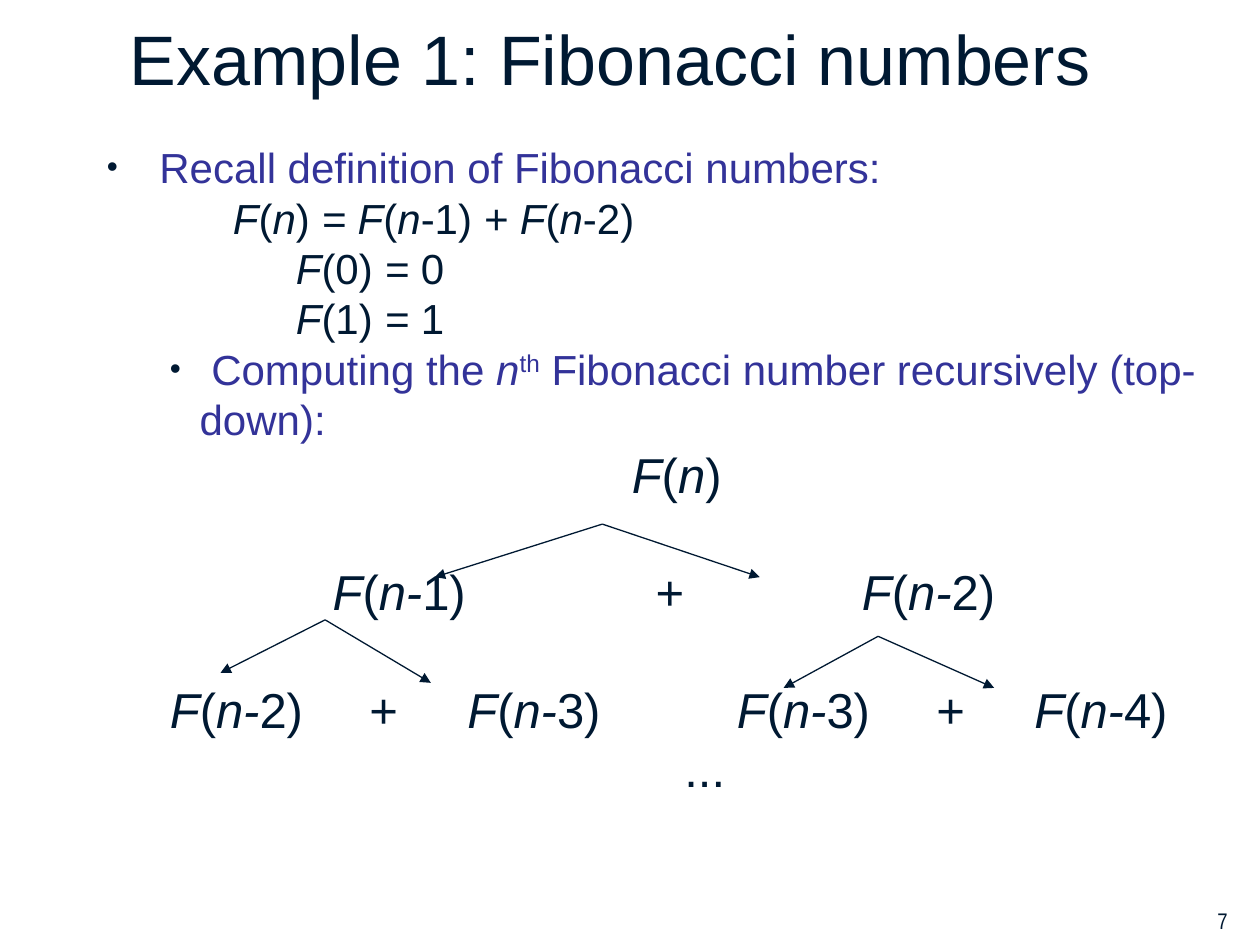
from lxml.etree import SubElement
from pptx import Presentation
from pptx.dml.color import RGBColor
from pptx.enum.shapes import MSO_CONNECTOR
from pptx.enum.text import MSO_ANCHOR, PP_ALIGN
from pptx.oxml.ns import qn
from pptx.util import Pt

NAVY = RGBColor(0x00, 0x19, 0x32)
INDIGO = RGBColor(0x33, 0x33, 0x99)


def add_text_box(left, top, width, height):
    frame = slide.shapes.add_textbox(Pt(left), Pt(top), Pt(width), Pt(height)).text_frame
    frame.word_wrap = True
    return frame


def add_runs(paragraph, text, size, color=NAVY, font="Arial"):
    """Add runs: *...* is italic, ^...^ is superscript."""
    for i, part in enumerate(text.split("*")):
        for j, piece in enumerate(part.split("^")):
            if not piece:
                continue
            run = paragraph.add_run()
            run.text = piece
            run.font.name = font
            run.font.size = Pt(size)
            run.font.italic = i % 2 == 1
            run.font.color.rgb = color
            if j % 2 == 1:
                run.font._element.set("baseline", "30000")


presentation = Presentation()
presentation.slide_width = Pt(720)
presentation.slide_height = Pt(540)
slide = presentation.slides.add_slide(presentation.slide_layouts[6])

# Page number
frame = add_text_box(558.7, 516.7, 149.8, 23.3)
paragraph = frame.paragraphs[0]
paragraph.alignment = PP_ALIGN.RIGHT
paragraph.line_spacing = 0.9
add_runs(paragraph, "7", 12.9, font="Arial Narrow")

# Title
frame = add_text_box(54, 0, 612, 66.2)
frame.vertical_anchor = MSO_ANCHOR.MIDDLE
frame.margin_right = Pt(30)
paragraph = frame.paragraphs[0]
paragraph.alignment = PP_ALIGN.CENTER
add_runs(paragraph, "Example 1: Fibonacci numbers", 40)

# Definition: text, colour, left margin, first-line indent
definition_lines = [
    ("Recall definition of Fibonacci numbers:", INDIGO, 30, -30),
    ("*F*(*n*)* = F*(*n*-1)* + F*(*n*-2)", NAVY, 72, 0),
    ("*F*(0)* = *0", NAVY, 108, 0),
    ("*F*(1)* = *1", NAVY, 108, 0),
    (" Computing the *n*^th^ Fibonacci number recursively (top-down):", INDIGO, 53, -17),
]
frame = add_text_box(54, 77.5, 641.5, 180)
for index, (text, color, margin, indent) in enumerate(definition_lines):
    paragraph = frame.add_paragraph() if index else frame.paragraphs[0]
    properties = paragraph._p.get_or_add_pPr()
    properties.set("marL", str(Pt(margin)))
    properties.set("indent", str(Pt(indent)))
    if indent:
        bullet_color = SubElement(properties, qn("a:buClr"))
        SubElement(bullet_color, qn("a:srgbClr"), val=str(NAVY))
        SubElement(properties, qn("a:buSzPct"), val="75000")
        SubElement(properties, qn("a:buFont"), typeface="Arial")
        SubElement(properties, qn("a:buChar"), char="•")
    paragraph.line_spacing = Pt(28.8)
    add_runs(paragraph, text, 24, color)

# Recursion tree labels: row number, then left edge and text of each label
tree_rows = [
    (0, [(354, "*F*(*n*)")]),
    (2, [(183, "*F*(*n-*1)"), (367.5, "+"), (485.5, "*F*(*n-*2)")]),
    (4, [(90, "*F*(*n-*2)"), (204, "+"), (260, "*F*(*n-*3)"),
         (414, "*F*(*n-*3)"), (528, "+"), (584, "*F*(*n-*4)")]),
    (5, [(384, "...")]),
]
for row, labels in tree_rows:
    for left, text in labels:
        width = 100 if "F" in text else 40
        frame = add_text_box(left, 250.3 + 33.6 * row, width, 40.8)
        paragraph = frame.paragraphs[0]
        paragraph.line_spacing = Pt(33.6)
        add_runs(paragraph, text, 28)

# Recursion tree arrows: each parent point with its two child points
branches = [
    ((344.2, 299.5), [(248.4, 329.8), (434.2, 329.8)]),
    ((185.8, 354.2), [(126, 384.5), (246.2, 390.2)]),
    ((501.8, 363.6), [(447.8, 393.1), (568.1, 393.1)]),
]
for (start_x, start_y), children in branches:
    for end_x, end_y in children:
        arrow = slide.shapes.add_connector(
            MSO_CONNECTOR.STRAIGHT, Pt(start_x), Pt(start_y), Pt(end_x), Pt(end_y))
        arrow.line.color.rgb = NAVY
        arrow.line.width = Pt(0.75)
        SubElement(arrow.line._get_or_add_ln(), qn("a:tailEnd"), type="triangle")
        SubElement(arrow._element.spPr, qn("a:effectLst"))

presentation.save("out.pptx")
